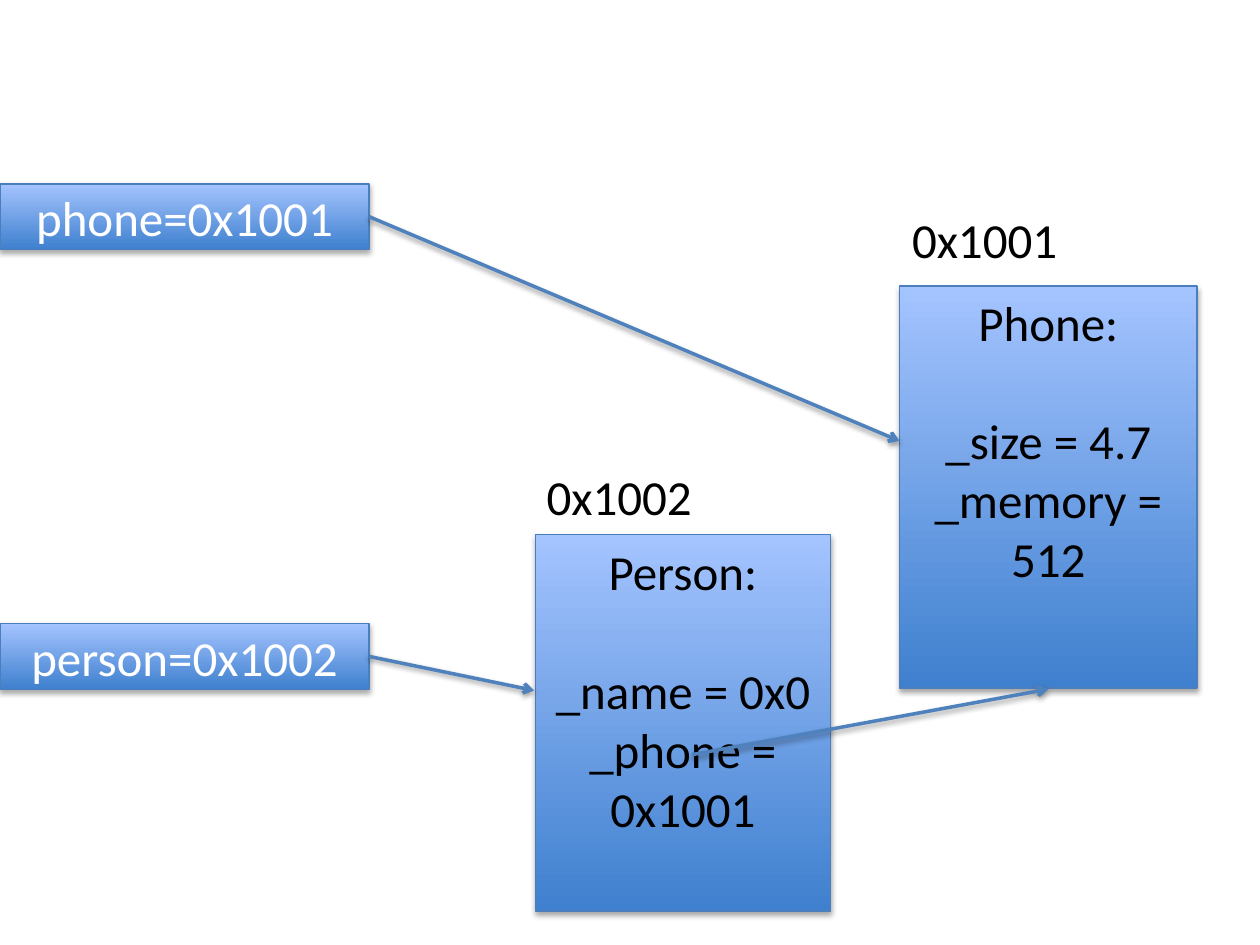
from dataclasses import dataclass

from lxml.etree import SubElement
from pptx import Presentation
from pptx.dml.color import RGBColor
from pptx.enum.shapes import MSO_CONNECTOR, MSO_SHAPE
from pptx.enum.text import MSO_ANCHOR, MSO_AUTO_SIZE, PP_ALIGN
from pptx.oxml.ns import qn
from pptx.slide import Slide
from pptx.text.text import TextFrame
from pptx.util import Inches, Pt

COLORS = {
    "gradient_bottom": "3F80CE",
    "gradient_top": "A4C4FF",
    "border": "4B7EBC",
    "arrow": "4F81BD",
    "shadow": "000000",
    "light_text": "FFFFFF",
    "dark_text": "000000",
}
FONT = "Calibri"
FONT_SIZE = Pt(28)
BLANK_LINE = Pt(34.2)
CAPTION_WIDTH = 2.36


@dataclass(frozen=True)
class Rect:
    """A position and size in inches."""
    left: float
    top: float
    width: float
    height: float

    def lengths(self) -> tuple:
        """Return the four values as lengths."""
        return tuple(Inches(v) for v in (self.left, self.top, self.width, self.height))


@dataclass(frozen=True)
class Variable:
    """A reference variable on the left edge."""
    text: str
    top: float


@dataclass(frozen=True)
class HeapObject:
    """An object in memory with its address and fields."""
    address: str
    address_top: float
    frame: Rect
    text_left: float
    text_top: float
    heading: str
    fields: tuple[str, ...]


@dataclass(frozen=True)
class Arrow:
    """A reference from one point to another, in inches."""
    start: tuple[float, float]
    end: tuple[float, float]


def rgb(name: str) -> RGBColor:
    """Look up a named colour."""
    return RGBColor.from_string(COLORS[name])


def add_shadow(shape, distance: float, opacity: int) -> None:
    """Give a shape or connector a soft shadow falling straight down."""
    effects = SubElement(shape._element.spPr, qn("a:effectLst"))
    shadow = SubElement(effects, qn("a:outerShdw"), blurRad=str(Pt(3.15)),
                        dist=str(Pt(distance)), dir="5400000", rotWithShape="0")
    color = SubElement(shadow, qn("a:srgbClr"), val=COLORS["shadow"])
    SubElement(color, qn("a:alpha"), val=str(opacity * 1000))


def write(frame: TextFrame, lines: tuple[str, ...], color: str, align: PP_ALIGN) -> None:
    """Fill a text frame with one paragraph per line."""
    frame.word_wrap = True
    frame.text = "\n".join(lines)
    for para in frame.paragraphs:
        para.alignment = align
        for span in para.runs:
            span.font.name = FONT
            span.font.size = FONT_SIZE
            span.font.color.rgb = rgb(color)


def add_box(page: Slide, rect: Rect):
    """Draw a gradient rectangle."""
    box = page.shapes.add_shape(MSO_SHAPE.RECTANGLE, *rect.lengths())
    box.fill.gradient()
    box.fill.gradient_angle = 90
    for stop, name in zip(box.fill.gradient_stops, ("gradient_bottom", "gradient_top")):
        stop.color.rgb = rgb(name)
    box.line.color.rgb = rgb("border")
    box.line.width = Pt(0.75)
    add_shadow(box, 1.8, 35)
    return box


def add_text(page: Slide, rect: Rect, lines: tuple[str, ...], align: PP_ALIGN) -> TextFrame:
    """Place dark text and return its frame."""
    frame = page.shapes.add_textbox(*rect.lengths()).text_frame
    write(frame, lines, "dark_text", align)
    frame.auto_size = MSO_AUTO_SIZE.SHAPE_TO_FIT_TEXT
    return frame


def add_variable(page: Slide, variable: Variable) -> None:
    """Draw a variable box."""
    box = add_box(page, Rect(0, variable.top, 2.93, 0.52))
    box.text_frame.vertical_anchor = MSO_ANCHOR.MIDDLE
    write(box.text_frame, (variable.text,), "light_text", PP_ALIGN.CENTER)


def add_heap_object(page: Slide, item: HeapObject) -> None:
    """Draw an object box with its address above and its fields inside."""
    add_box(page, item.frame)
    add_text(page, Rect(item.text_left, item.address_top, CAPTION_WIDTH, 0.57),
             (item.address,), PP_ALIGN.LEFT)
    body = add_text(page, Rect(item.text_left, item.text_top, CAPTION_WIDTH, 2.46),
                    (item.heading, *item.fields), PP_ALIGN.CENTER)
    body.paragraphs[0].space_after = BLANK_LINE


def add_arrow(page: Slide, arrow: Arrow) -> None:
    """Draw a reference arrow."""
    points = [Inches(v) for v in (*arrow.start, *arrow.end)]
    line = page.shapes.add_connector(MSO_CONNECTOR.STRAIGHT, *points)
    line.line.color.rgb = rgb("arrow")
    line.line.width = Pt(2)
    SubElement(line.line._get_or_add_ln(), qn("a:tailEnd"), type="arrow")
    add_shadow(line, 1.6, 38)


VARIABLES = (Variable("phone=0x1001", 1.46), Variable("person=0x1002", 4.95))
HEAP_OBJECTS = (
    HeapObject("0x1001", 1.61, Rect(7.14, 2.27, 2.36, 3.19), 7.14, 2.27,
               "Phone:", ("_size = 4.7", "_memory = 512")),
    HeapObject("0x1002", 3.65, Rect(4.25, 4.24, 2.34, 2.99), 4.24, 4.25,
               "Person:", ("_name = 0x0", "_phone = 0x1001")),
)
ARROWS = (
    Arrow((2.93, 1.72), (7.14, 3.5)),
    Arrow((2.93, 5.21), (4.24, 5.48)),
    Arrow((5.49, 5.99), (8.32, 5.47)),
)


def main() -> None:
    """Build and save the slide."""
    deck = Presentation()
    deck.slide_width, deck.slide_height = Inches(10), Inches(7.5)
    page = deck.slides.add_slide(deck.slide_layouts[6])
    for variable in VARIABLES:
        add_variable(page, variable)
    for item in HEAP_OBJECTS:
        add_heap_object(page, item)
    for arrow in ARROWS:
        add_arrow(page, arrow)
    deck.save("out.pptx")


main()
